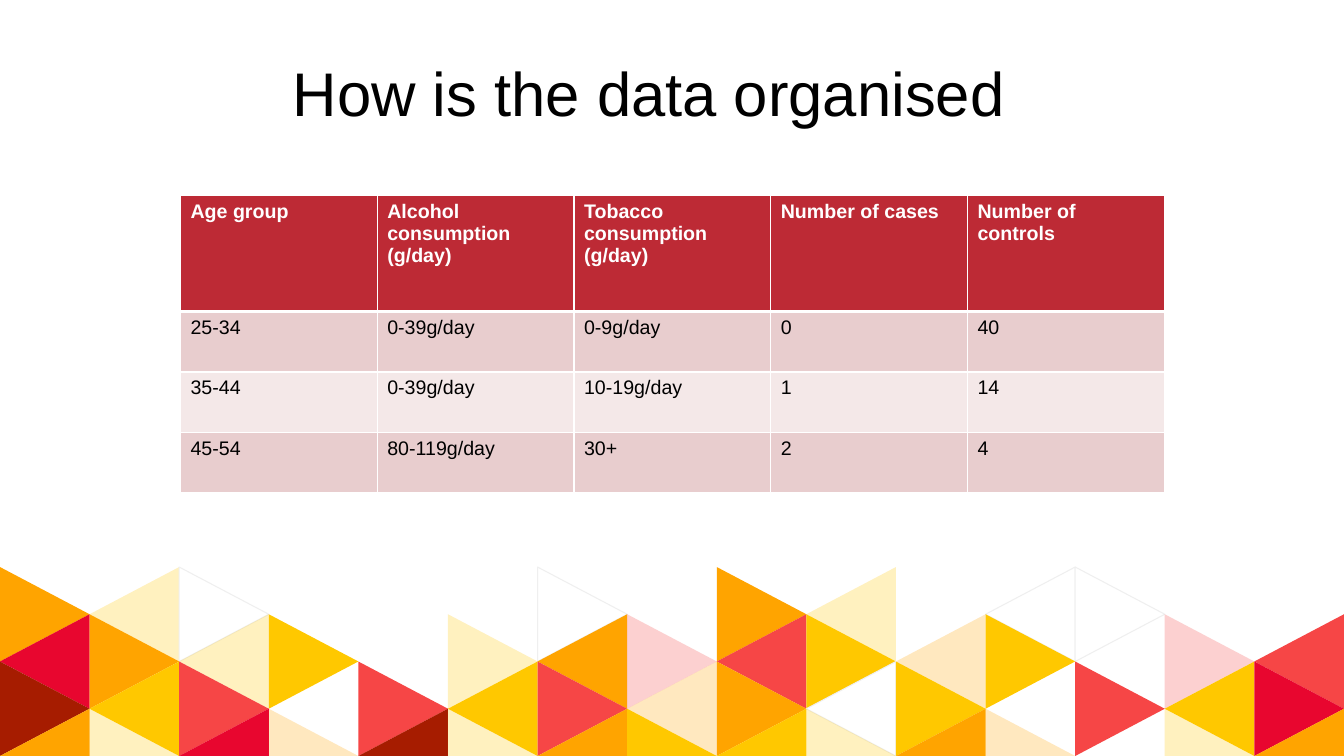
from lxml.etree import SubElement
from pptx import Presentation
from pptx.dml.color import RGBColor
from pptx.enum.text import MSO_ANCHOR, MSO_AUTO_SIZE, PP_ALIGN
from pptx.oxml.ns import qn
from pptx.util import Inches, Pt

TITLE = "How is the data organised"
HEADER = ["Age group", "Alcohol consumption (g/day)", "Tobacco consumption\n(g/day)",
          "Number of cases", "Number of controls"]
ROWS = [
    ["25-34", "0-39g/day", "0-9g/day", "0", "40"],
    ["35-44", "0-39g/day", "10-19g/day", "1", "14"],
    ["45-54", "80-119g/day", "30+", "2", "4"],
]
MOSAIC = [
    "oYw...w.oY.ww..",
    "coYy.YoRryOy.Rr",
    "myr.ryrOowy.ryc",
    "oYcOmYoyyYoO.Yo",
]
COLORS = {
    "o": "FFA400", "y": "FFC800", "r": "F64646", "c": "E8062F", "m": "A61C00",
    "w": "FFFFFF", "edge": "EFEFEF", "header": "BD2A35", "dark_band": "E8CDCE",
    "light_band": "F4E8E8", "white": "FFFFFF", "black": "000000",
}
FONT = "Arial"
TINT_ALPHA = 25
W, H = Inches(13.333), Inches(7.5)
COL_W = W / len(MOSAIC[0])
STEP_H = H / 16
MOSAIC_TOP = H - len(MOSAIC) * STEP_H


def rgb(name):
    return RGBColor.from_string(COLORS[name])


def add_run(p, text, size, color, bold=False):
    r = p.add_run()
    r.text = text
    r.font.name, r.font.size, r.font.bold = FONT, Pt(size), bold
    r.font.color.rgb = rgb(color)


def add_triangle(s, col, level, code):
    near, far = (col, col + 1) if (col + level) % 2 == 0 else (col + 1, col)
    bottom = len(MOSAIC)
    corners = [(near, level), (near, min(level + 2, bottom)), (far, level + 1)]
    points = [(round(x * COL_W), round(MOSAIC_TOP + y * STEP_H)) for x, y in corners]
    builder = s.shapes.build_freeform(*points[0])
    builder.add_line_segments(points[1:], close=True)
    sp = builder.convert_to_shape()
    sp.shadow.inherit = False
    sp.fill.solid()
    sp.fill.fore_color.rgb = rgb(code.lower())
    if code.isupper():
        clr = sp.fill._xPr.find(qn("a:solidFill")).find(qn("a:srgbClr"))
        SubElement(clr, qn("a:alpha"), val=str(TINT_ALPHA * 1000))
    if code == "w":
        sp.line.color.rgb = rgb("edge")
        sp.line.width = Pt(0.75)
    else:
        sp.line.fill.background()


def add_borders(cell, widths):
    tcPr = cell._tc.get_or_add_tcPr()
    for side, width in widths.items():
        ln = SubElement(tcPr, qn(f"a:ln{side}"), w=str(Pt(width)))
        fill = SubElement(ln, qn("a:solidFill"))
        SubElement(fill, qn("a:srgbClr"), val=COLORS["white"])


def add_data_table(s):
    data = [HEADER] + ROWS
    table = s.shapes.add_table(len(data), len(HEADER), Inches(1.79), Inches(1.94),
                               Inches(9.76), Inches(2.94)).table
    for i, texts in enumerate(data):
        head = i == 0
        table.rows[i].height = Inches(1.15 if head else 0.6)
        band = "header" if head else "dark_band" if i % 2 else "light_band"
        for j, text in enumerate(texts):
            cell = table.cell(i, j)
            add_borders(cell, {"L": 1, "R": 1, "T": 3 if i == 1 else 1, "B": 3 if head else 1})
            cell.fill.solid()
            cell.fill.fore_color.rgb = rgb(band)
            tf = cell.text_frame
            for n, line in enumerate(text.split("\n")):
                p = tf.add_paragraph() if n else tf.paragraphs[0]
                add_run(p, line, 14, "white" if head else "black", head)


def add_title(s):
    tf = s.shapes.add_textbox(Inches(2.77), Inches(0.5), Inches(7.34), Inches(0.84)).text_frame
    tf.word_wrap = False
    tf.auto_size = MSO_AUTO_SIZE.SHAPE_TO_FIT_TEXT
    tf.vertical_anchor = MSO_ANCHOR.TOP
    p = tf.paragraphs[0]
    p.alignment = PP_ALIGN.CENTER
    add_run(p, TITLE, 44, "black")


def main():
    prs = Presentation()
    prs.slide_width, prs.slide_height = W, H
    s = prs.slides.add_slide(prs.slide_layouts[6])
    for level, codes in enumerate(MOSAIC):
        for col, code in enumerate(codes):
            if code != ".":
                add_triangle(s, col, level, code)
    add_data_table(s)
    add_title(s)
    prs.save("out.pptx")


if __name__ == "__main__":
    main()
